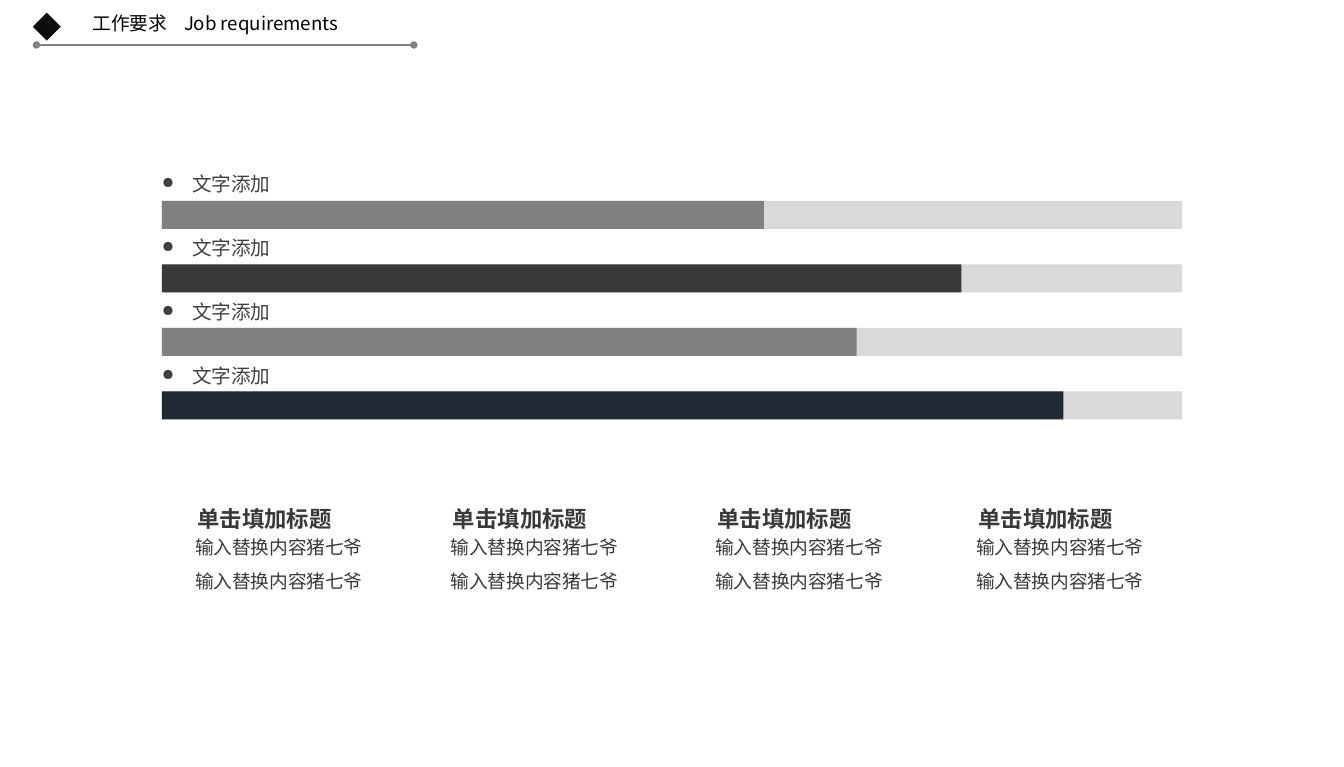
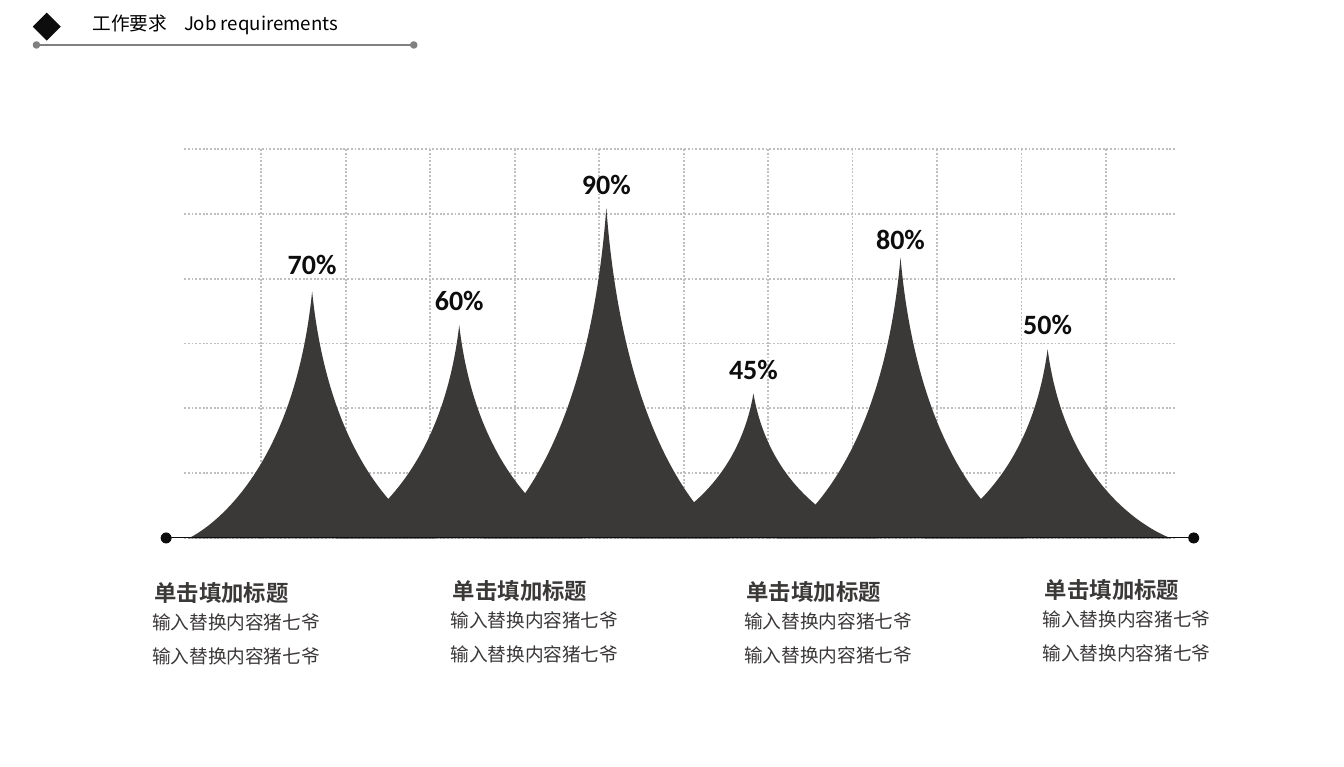
from dataclasses import dataclass

from lxml import etree
from pptx import Presentation
from pptx.dml.color import RGBColor
from pptx.enum.dml import MSO_LINE
from pptx.enum.shapes import MSO_CONNECTOR, MSO_SHAPE
from pptx.enum.text import MSO_ANCHOR, MSO_AUTO_SIZE, PP_ALIGN
from pptx.oxml.ns import qn
from pptx.util import Cm, Pt

STRAIGHT = MSO_CONNECTOR.STRAIGHT
RECTANGLE, DIAMOND = MSO_SHAPE.RECTANGLE, MSO_SHAPE.DIAMOND
DOTTED = MSO_LINE.ROUND_DOT
LEFT, CENTER = PP_ALIGN.LEFT, PP_ALIGN.CENTER
TOP = MSO_ANCHOR.TOP
GROW = MSO_AUTO_SIZE.SHAPE_TO_FIT_TEXT


@dataclass(frozen=True)
class Theme:
    black: RGBColor = RGBColor(0x00, 0x00, 0x00)
    ink: RGBColor = RGBColor(0x0D, 0x0D, 0x0D)
    charcoal: RGBColor = RGBColor(0x3B, 0x38, 0x38)
    navy: RGBColor = RGBColor(0x22, 0x2A, 0x35)
    label: RGBColor = RGBColor(0x40, 0x40, 0x40)
    gray: RGBColor = RGBColor(0x80, 0x80, 0x80)
    grid: RGBColor = RGBColor(0xBF, 0xBF, 0xBF)
    track: RGBColor = RGBColor(0xD9, 0xD9, 0xD9)
    cjk_font: str = "Noto Sans CJK SC"
    number_font: str = "Calibri"
    body_size: float = 10
    label_size: float = 10.5
    heading_size: float = 12
    number_size: float = 15


THEME = Theme()


def write(shape, box, lines, size, color, font=THEME.cjk_font, bold=False,
          align=LEFT, wrap=True, inset=True, gap=0, spacing=None, bullet=None):
    """Place a text shape at box (in cm) and fill it with one run per line."""
    shape.left, shape.top, shape.width, shape.height = map(Cm, box)
    frame = shape.text_frame
    frame.word_wrap = wrap
    frame.auto_size = GROW
    frame.vertical_anchor = TOP
    frame.margin_left = frame.margin_right = Cm(0.25 if inset else 0)
    frame.margin_top = frame.margin_bottom = Cm(0.13 if inset else 0)
    for number, line in enumerate(lines):
        paragraph = frame.add_paragraph() if number else frame.paragraphs[0]
        if bullet:
            properties = paragraph._p.get_or_add_pPr()
            properties.set("marL", str(Cm(0.58)))
            properties.set("indent", str(-Cm(0.58)))
            etree.SubElement(properties, qn("a:buSzPct")).set("val", "80000")
            etree.SubElement(properties, qn("a:buChar")).set("char", bullet)
        paragraph.alignment = align
        paragraph.line_spacing = spacing
        paragraph.space_before = Pt(gap if number else 0)
        run = paragraph.add_run()
        run.text = line
        run.font.size = Pt(size)
        run.font.bold = bold
        run.font.name = font
        run.font.color.rgb = color
        etree.SubElement(run._r.get_or_add_rPr(), qn("a:ea")).set("typeface", font)


def draw_line(slide, start, end, color, width, dash=None, dots=None):
    """Draw a straight line between two points in cm; dots sizes its round ends."""
    line = slide.shapes.add_connector(STRAIGHT, *map(Cm, start + end))
    line.line.color.rgb = color
    line.line.width = Pt(width)
    if dash:
        line.line.dash_style = dash
    if dots:
        for tag in ("a:headEnd", "a:tailEnd"):
            etree.SubElement(line.line._get_or_add_ln(), qn(tag),
                             type="oval", w=dots, len=dots)
    etree.SubElement(line._element.spPr, qn("a:effectLst"))


deck = Presentation()
deck.slide_width, deck.slide_height = Cm(25.4), Cm(14.5)

# Header and caption columns shared by both slides: left and top of each body
caption_rows = [
    [(2.54, 10.01), (7.37, 10.01), (12.37, 10.01), (17.3, 10.01)],
    [(1.73, 11.42), (7.37, 11.38), (12.92, 11.4), (18.56, 11.37)],
]
slides = []
for captions in caption_rows:
    slide = deck.slides.add_slide(deck.slide_layouts[5])
    slides.append(slide)
    write(slide.shapes.title, (1.5, 0.1, 7.44, 0.69), ["工作要求"],
          THEME.body_size, THEME.black)
    write(slide.shapes.add_textbox(0, 0, 0, 0), (3.23, 0.1, 3.48, 0.69),
          ["Job requirements"], THEME.body_size, THEME.black, wrap=False)
    draw_line(slide, (0.69, 0.85), (7.82, 0.85), THEME.gray, 1, dots="sm")
    marker = slide.shapes.add_shape(DIAMOND, Cm(0.62), Cm(0.24), Cm(0.53), Cm(0.53))
    marker.shadow.inherit = False
    marker.fill.solid()
    marker.fill.fore_color.rgb = THEME.ink
    marker.line.fill.background()

    for left, top in captions:
        write(slide.shapes.add_textbox(0, 0, 0, 0), (left, top, 5.46, 1.32),
              ["输入替换内容猪七爷"] * 2, THEME.body_size, THEME.charcoal,
              align=CENTER, gap=6)
        write(slide.shapes.add_textbox(0, 0, 0, 0),
              (left + 0.72, top - 0.57, 3.48, 0.58), ["单击填加标题"],
              THEME.heading_size, THEME.charcoal, bold=True, align=CENTER,
              inset=False, spacing=1.2)

progress_slide, peaks_slide = slides

# Slide 1: progress bars
progress = [(11.38, THEME.gray), (15.11, THEME.charcoal),
            (13.13, THEME.gray), (17.04, THEME.navy)]
for row, (done, color) in enumerate(progress):
    for length, fill in ((19.28, THEME.track), (done, color)):
        bar = progress_slide.shapes.add_shape(
            RECTANGLE, Cm(3.06), Cm(3.8 + 1.2 * row), Cm(length), Cm(0.53))
        bar.shadow.inherit = False
        bar.fill.solid()
        bar.fill.fore_color.rgb = fill
        bar.line.fill.background()
    write(progress_slide.shapes.add_textbox(0, 0, 0, 0),
          (3.06, 3.26 + 1.21 * row, 3.28, 0.46), ["文字添加"],
          THEME.label_size, THEME.label, inset=False, bullet="●")

# Slide 2: dotted grid
grid_top, baseline = 2.82, 10.18
for column in range(11):
    x = 4.94 + 15.96 * column / 10
    draw_line(peaks_slide, (x, grid_top), (x, baseline), THEME.grid, 1, DOTTED)
for row in range(7):
    y = grid_top + 7.35 * row / 6
    draw_line(peaks_slide, (3.48, y), (22.23, y), THEME.grid, 1, DOTTED)

# Peaks: value, height, distance from label top to apex
peaks = [("70%", 4.67, 0.97), ("60%", 4.03, 0.94), ("90%", 6.25, 0.91),
         ("45%", 2.74, 0.93), ("80%", 5.31, 0.81), ("50%", 3.58, 0.94)]
half_width = 2.34
for number, (value, height, label_gap) in enumerate(peaks):
    center = 5.9 + 2.78 * number
    right, apex, left = (
        (Cm(center + half_width), Cm(baseline)),
        (Cm(center), Cm(baseline - height)),
        (Cm(center - half_width), Cm(baseline)),
    )
    builder = peaks_slide.shapes.build_freeform(*right)
    builder.add_line_segments([apex, left], close=True)
    peak = builder.convert_to_shape()
    # Bend both flanks: controls and end of each curve, relative to the foot
    shoulder = 0.82 * height
    flanks = [
        [(2 * half_width, height), (1.165 * half_width, shoulder), (half_width, 0)],
        [(0.835 * half_width, shoulder), (0, height), (0, height)],
    ]
    segments = list(peak._element.iter(qn("a:lnTo")))
    for segment, points in zip(segments, flanks):
        curve = etree.Element(qn("a:cubicBezTo"))
        for x, y in points:
            etree.SubElement(curve, qn("a:pt"), x=str(Cm(x)), y=str(Cm(y)))
        segment.getparent().replace(segment, curve)
    base = etree.Element(qn("a:lnTo"))
    etree.SubElement(base, qn("a:pt"), x=str(Cm(2 * half_width)), y=str(Cm(height)))
    curve.addnext(base)
    peak.shadow.inherit = False
    peak.fill.solid()
    peak.fill.fore_color.rgb = THEME.charcoal
    peak.line.fill.background()
    write(peaks_slide.shapes.add_textbox(0, 0, 0, 0),
          (center - 0.84, baseline - height - label_gap, 1.68, 0.64), [value],
          THEME.number_size, THEME.ink, THEME.number_font, bold=True,
          align=CENTER, wrap=False)

# Base axis
draw_line(peaks_slide, (3.14, 10.17), (22.56, 10.17), THEME.ink, 0.5, dots="med")

deck.save("out.pptx")
